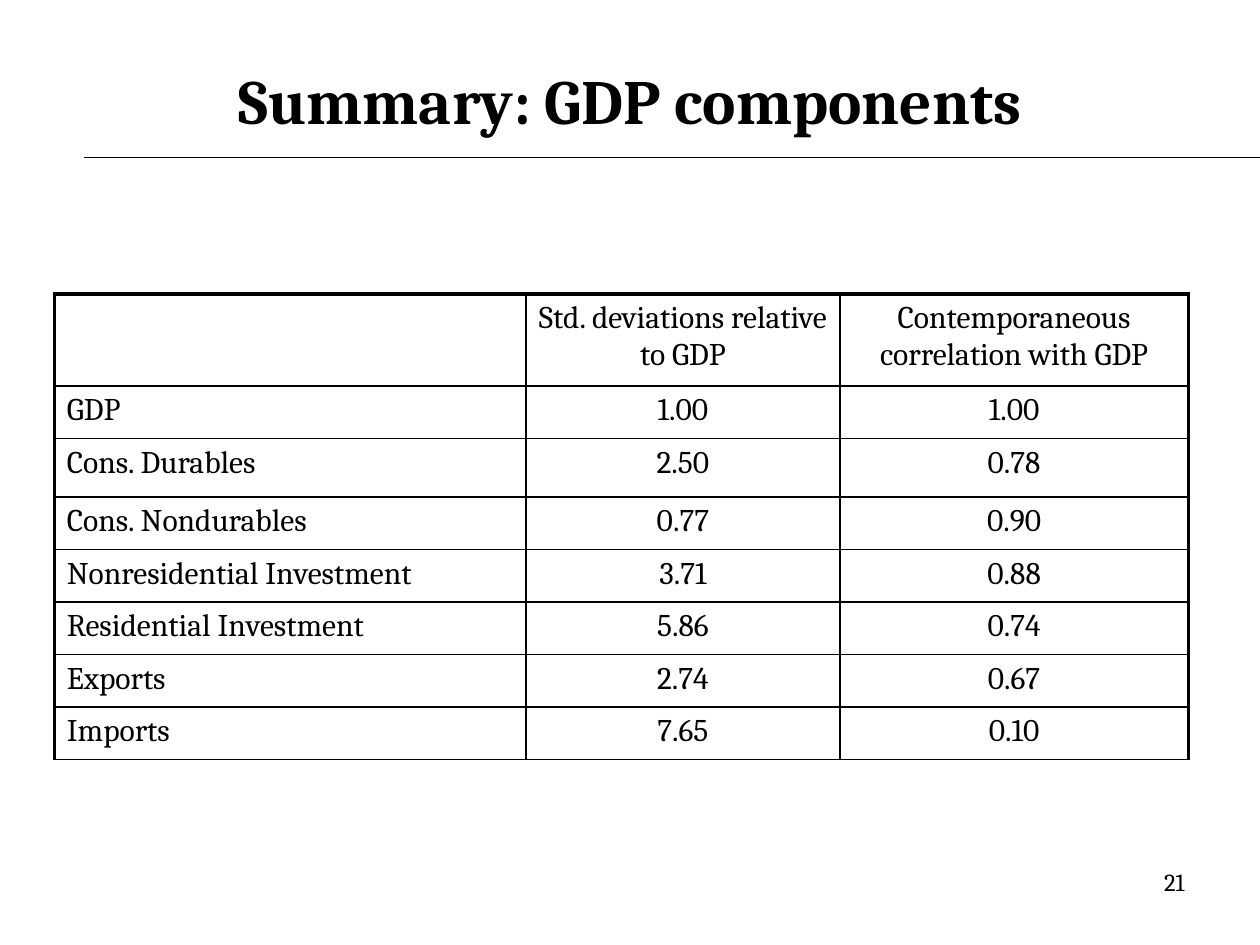
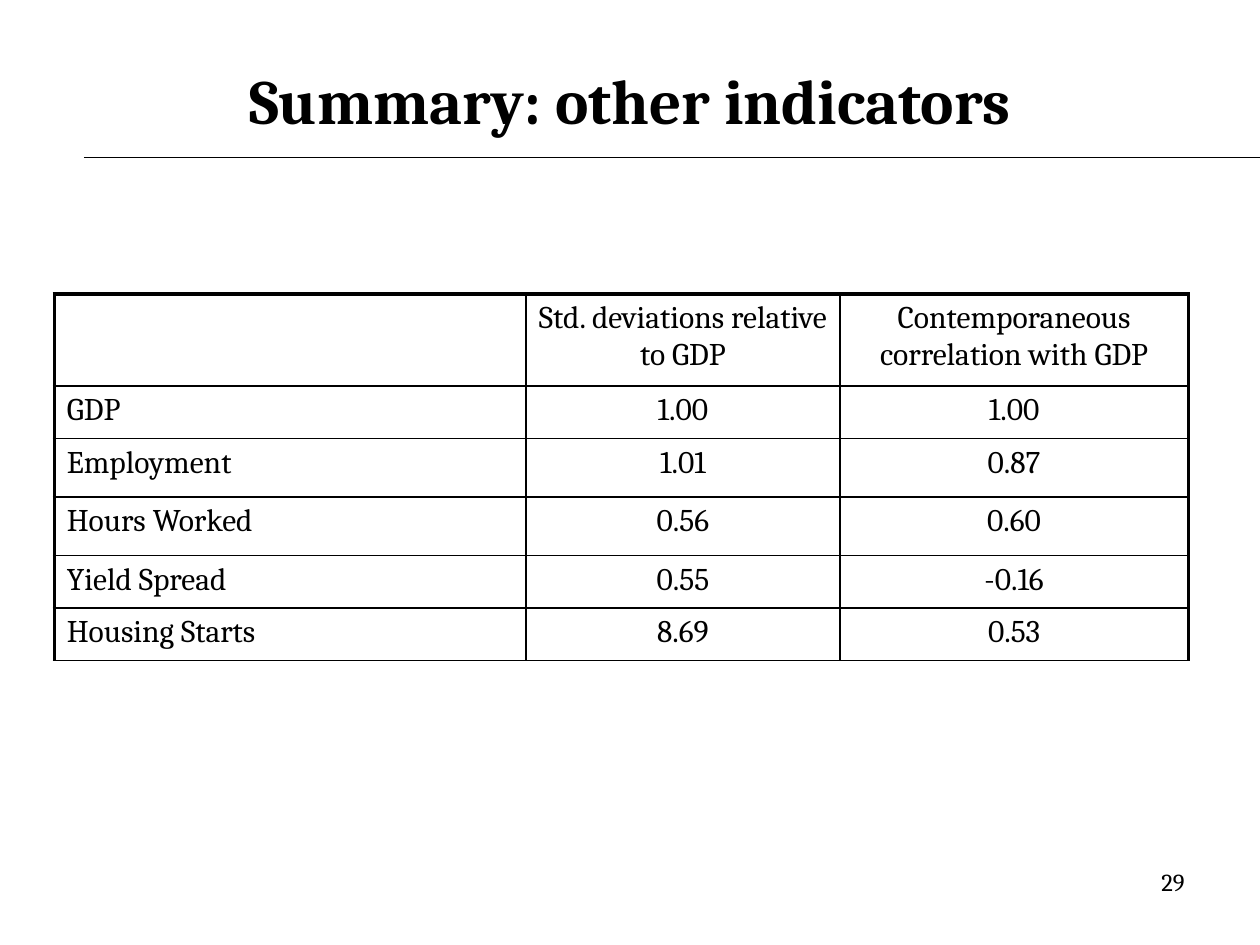
from lxml import etree
from pptx import Presentation
from pptx.dml.color import RGBColor
from pptx.enum.shapes import MSO_CONNECTOR
from pptx.enum.text import MSO_ANCHOR, PP_ALIGN
from pptx.oxml.ns import qn
from pptx.util import Pt

LEFT, CENTER, RIGHT = PP_ALIGN.LEFT, PP_ALIGN.CENTER, PP_ALIGN.RIGHT
TOP, MIDDLE = MSO_ANCHOR.TOP, MSO_ANCHOR.MIDDLE
STRAIGHT = MSO_CONNECTOR.STRAIGHT

COLORS = {"ink": "000000"}
FONT = "Cambria"
BLANK = 6
SLIDE_W, SLIDE_H = 720, 540

# Table measures
TABLE_LEFT, TABLE_TOP = 31, 168
COL_WIDTHS = [269.5, 179.5, 199]
HEADER_H, ROW_H, TALL_ROW_H = 52.5, 30, 33.5
THICK, THIN = 2.25, 1

HEADER = ["", "Std. deviations relative to GDP",
          "Contemporaneous correlation with GDP"]
GDP_COMPONENTS = [
    ["GDP", "1.00", "1.00"],
    ["Cons. Durables", "2.50", "0.78"],
    ["Cons. Nondurables", "0.77", "0.90"],
    ["Nonresidential Investment", "3.71", "0.88"],
    ["Residential Investment", "5.86", "0.74"],
    ["Exports", "2.74", "0.67"],
    ["Imports", "7.65", "0.10"],
]
OTHER_INDICATORS = [
    ["GDP", "1.00", "1.00"],
    ["Employment", "1.01", "0.87"],
    ["Hours Worked", "0.56", "0.60"],
    ["Yield Spread", "0.55", "-0.16"],
    ["Housing Starts", "8.69", "0.53"],
]


def style_text(tf, text, size, align, bold=False):
    tf.text = text
    p = tf.paragraphs[0]
    p.alignment = align
    p.font.size = Pt(size)
    for r in p.runs:
        r.font.name = FONT
        r.font.size = Pt(size)
        r.font.bold = bold
        r.font.color.rgb = RGBColor.from_string(COLORS["ink"])


def add_text(s, text, box, size, align, anchor=TOP, bold=False):
    tf = s.shapes.add_textbox(*map(Pt, box)).text_frame
    tf.word_wrap = True
    tf.vertical_anchor = anchor
    style_text(tf, text, size, align, bold)


def add_title_rule(s):
    line = s.shapes.add_connector(STRAIGHT, Pt(48), Pt(90), Pt(SLIDE_W), Pt(90))
    line.line.width = Pt(0.75)
    line.line.color.rgb = RGBColor.from_string(COLORS["ink"])
    etree.SubElement(line._element.spPr, qn("a:effectLst"))


def set_borders(cell, widths):
    """Draw the left, right, top and bottom borders, in that order."""
    tc_pr = cell._tc.get_or_add_tcPr()
    for i, (side, width) in enumerate(zip("LRTB", widths)):
        ln = etree.Element(qn(f"a:ln{side}"), w=str(Pt(width)))
        fill = etree.SubElement(ln, qn("a:solidFill"))
        etree.SubElement(fill, qn("a:srgbClr"), val=COLORS["ink"])
        tc_pr.insert(i, ln)


def add_summary_table(s, body, tall_rows):
    rows = [HEADER] + body
    heights = [HEADER_H] + [TALL_ROW_H if row[0] in tall_rows else ROW_H
                            for row in body]
    table = s.shapes.add_table(
        len(rows), len(HEADER), Pt(TABLE_LEFT), Pt(TABLE_TOP),
        Pt(sum(COL_WIDTHS)), Pt(sum(heights))).table
    table.first_row = table.horz_banding = False
    for column, width in zip(table.columns, COL_WIDTHS):
        column.width = Pt(width)
    last = len(HEADER) - 1
    for i, row in enumerate(rows):
        table.rows[i].height = Pt(heights[i])
        for j, text in enumerate(row):
            cell = table.cell(i, j)
            cell.fill.background()
            style_text(cell.text_frame, text, 18, CENTER if j else LEFT)
            # Thick frame on the left, right and top
            set_borders(cell, [THICK if j == 0 else THIN,
                               THICK if j == last else THIN,
                               THICK if i == 0 else THIN,
                               THIN])


def add_summary_slide(prs, title, body, tall_rows, number):
    s = prs.slides.add_slide(prs.slide_layouts[BLANK])
    add_title_rule(s)
    add_text(s, title, (36, 24, 648, 66), 36, CENTER, MIDDLE, bold=True)
    add_summary_table(s, body, tall_rows)
    add_text(s, number, (516, 492, 168, 37.5), 14, RIGHT)


def main():
    prs = Presentation()
    prs.slide_width, prs.slide_height = Pt(SLIDE_W), Pt(SLIDE_H)
    add_summary_slide(prs, "Summary: GDP components", GDP_COMPONENTS,
                      ["Cons. Durables"], "21")
    add_summary_slide(prs, "Summary: other indicators", OTHER_INDICATORS,
                      ["Employment", "Hours Worked"], "29")
    prs.save("out.pptx")


if __name__ == "__main__":
    main()
